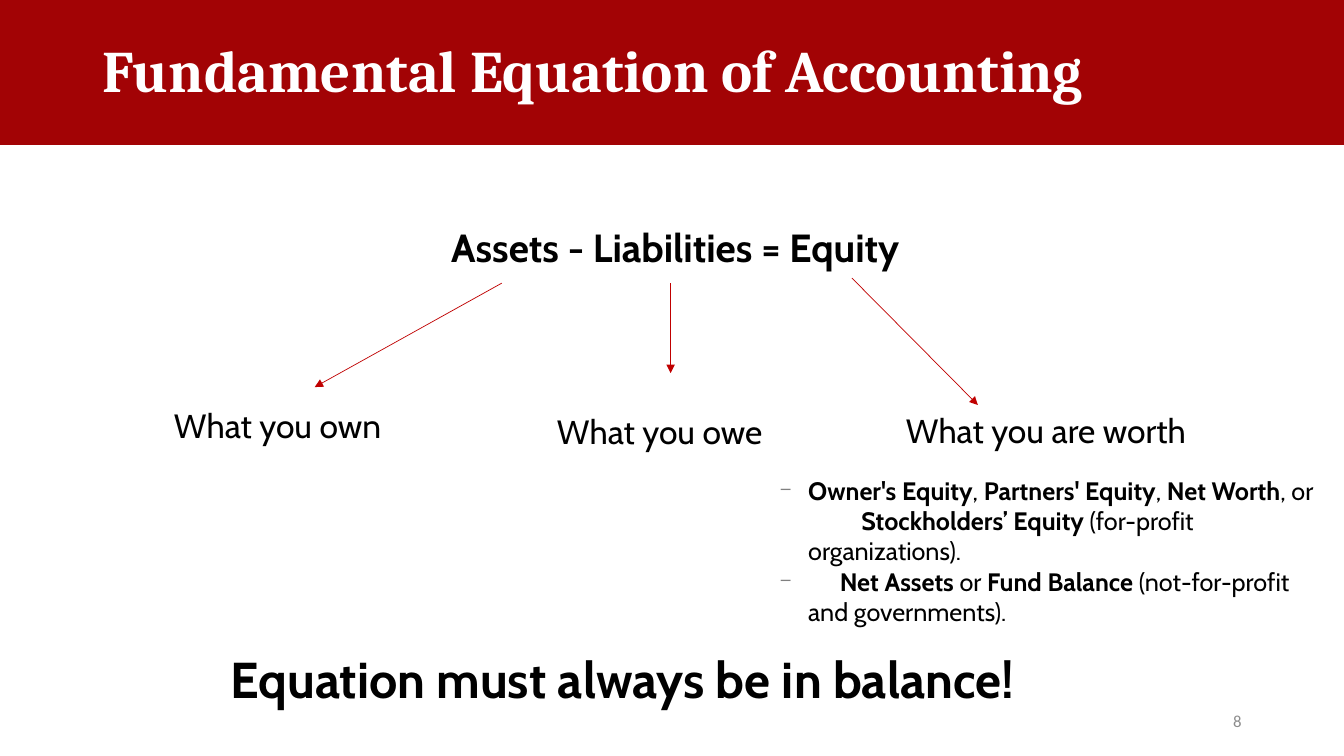
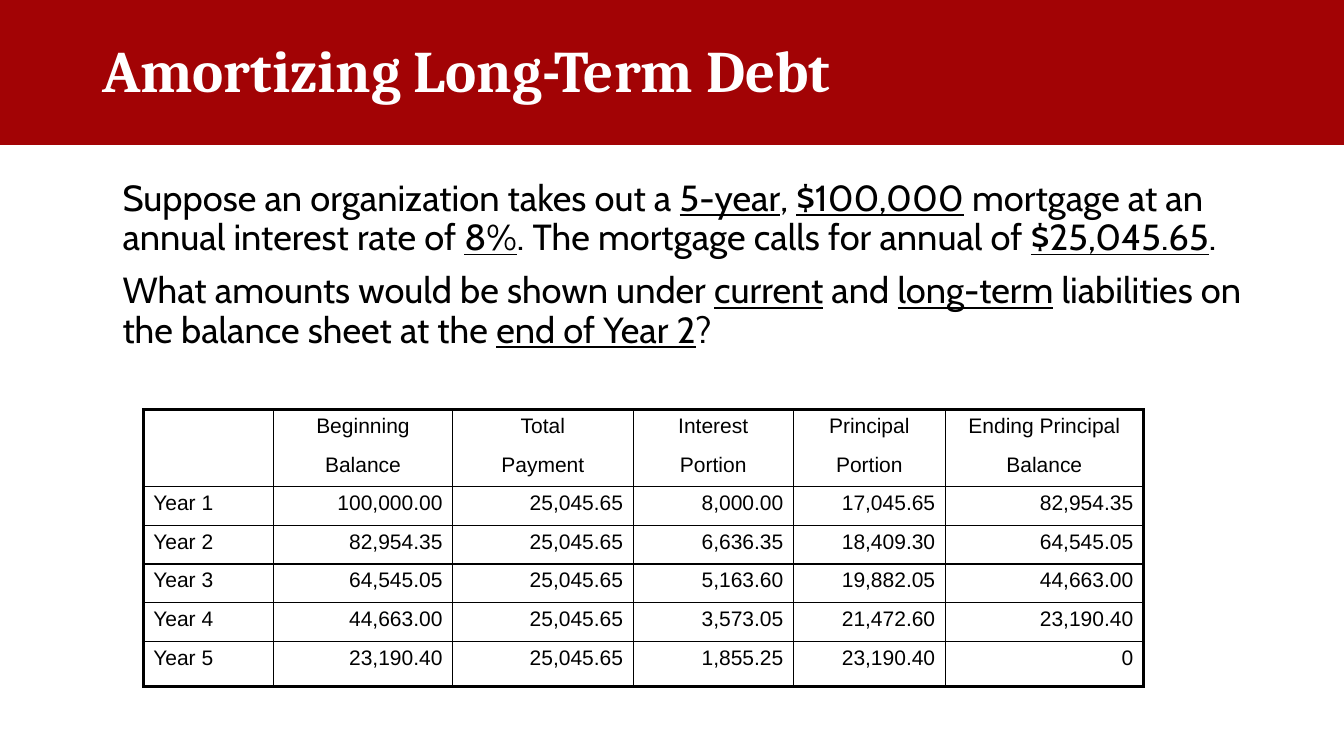
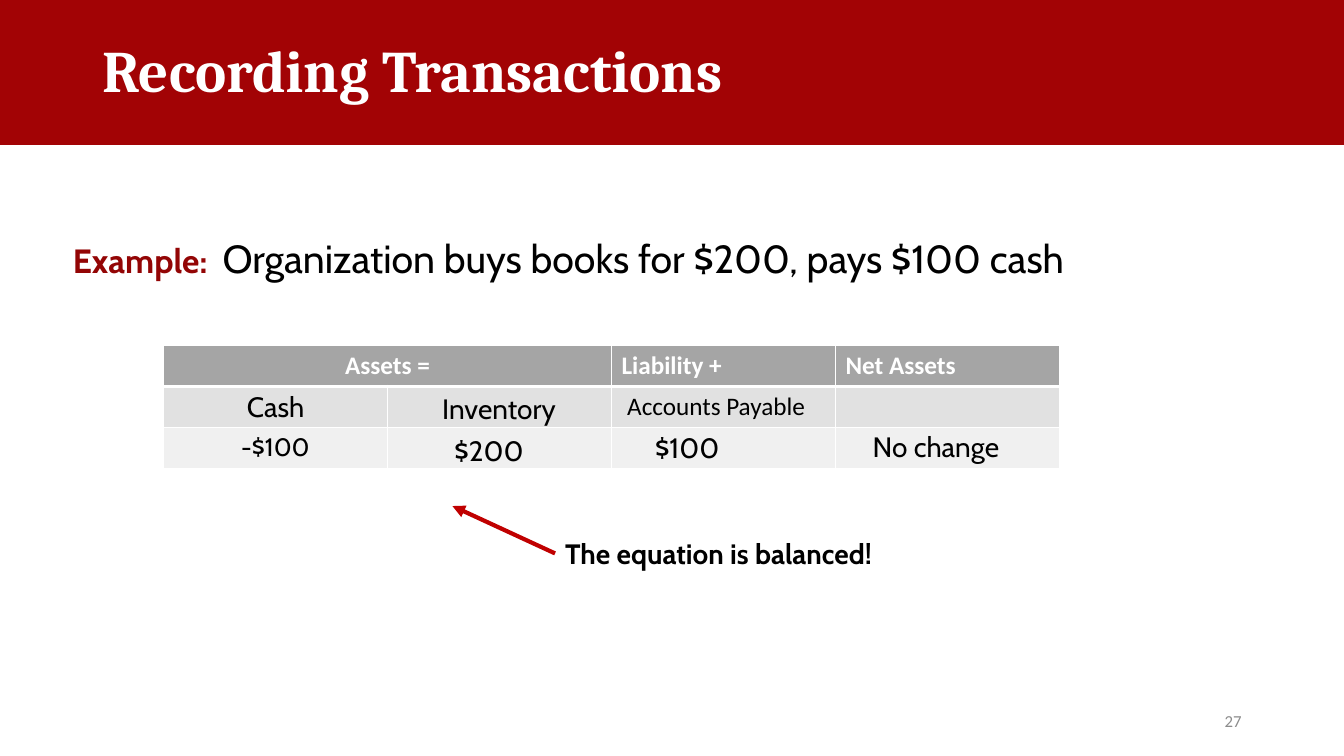
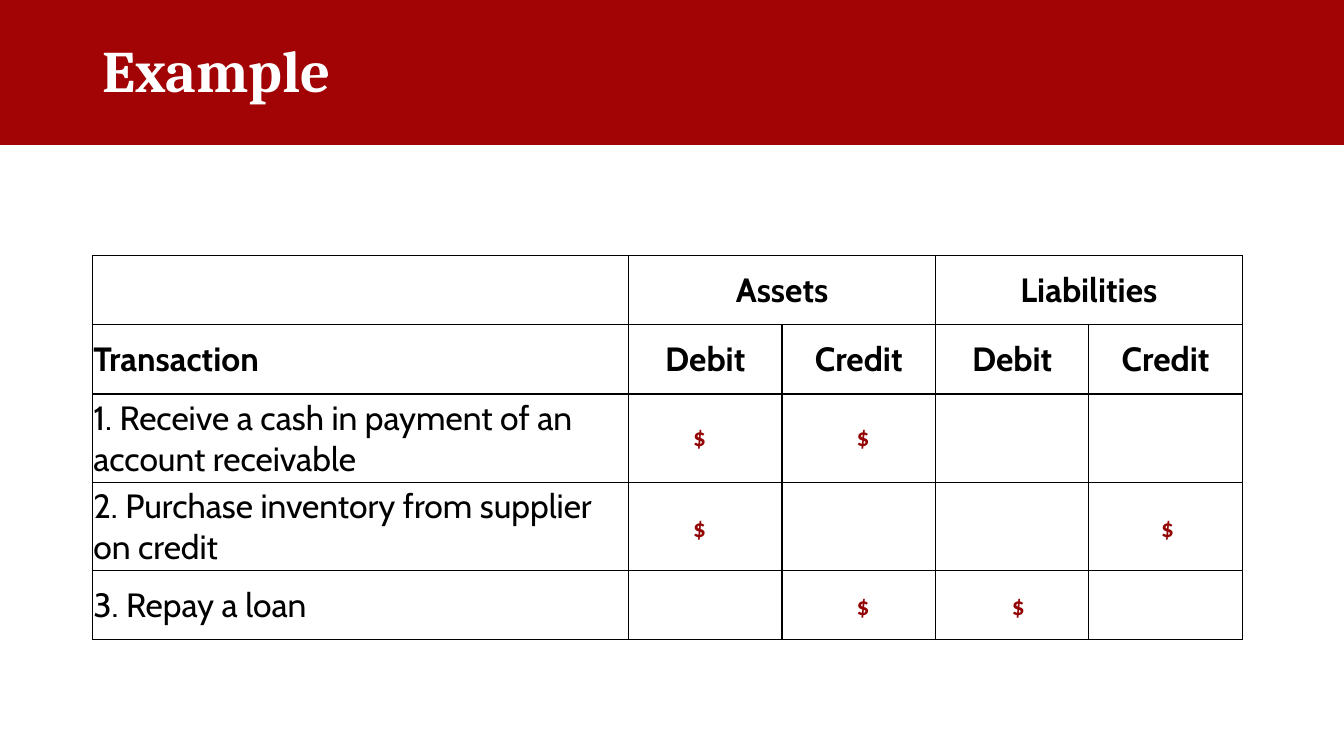
"""Build four accounting slides with a shared title band."""
from lxml import etree
from pptx import Presentation
from pptx.dml.color import RGBColor
from pptx.enum import shapes, text
from pptx.oxml import ns
from pptx.util import Pt

BAND_RED = RGBColor(0xA2, 0x03, 0x05)
DARK_RED = RGBColor(0x93, 0x05, 0x05)
ARROW_RED = RGBColor(0xC0, 0x00, 0x00)
BLACK = RGBColor(0, 0, 0)
WHITE = RGBColor(0xFF, 0xFF, 0xFF)
PAGE_GRAY = RGBColor(0x8C, 0x8C, 0x8C)
HEAD_GRAY = RGBColor(0xA5, 0xA5, 0xA5)
ROW_GRAYS = (HEAD_GRAY, RGBColor(0xE1, 0xE1, 0xE1), RGBColor(0xF0, 0xF0, 0xF0))
LEFT, CENTER, RIGHT = text.PP_ALIGN.LEFT, text.PP_ALIGN.CENTER, text.PP_ALIGN.RIGHT
MIDDLE, TOP = text.MSO_ANCHOR.MIDDLE, text.MSO_ANCHOR.TOP
PAGE_WIDTH, PAGE_HEIGHT = 960, 540
BOLD, UNDERLINE = {"bold": True}, {"underline": True}

MEANINGS = [
    ("What you own", (38.2, 289.2, 320, 36), CENTER),
    ("What you owe", (370.8, 293, 200.8, 65), CENTER),
    ("What you are worth", (640, 292.5, 280, 65), LEFT),
]
MEANING_ARROWS = [
    ((358.5, 202.2), (224.8, 276.5)),
    ((479, 202.2), (479, 266.5)),
    ((608.5, 198.6), (698.5, 289.3)),
]
EQUITY_NAMES = [
    (-19.5, True, [("Owner's Equity", BOLD), ", ", ("Partners' Equity", BOLD), ", ",
                   ("Net Worth", BOLD), ", or"]),
    (38, False, [("Stockholders’ Equity ", BOLD), "(for-profit organizations)."]),
    (-19.5, True, [(" ", {"gap": 18.5}), ("Net Assets", BOLD), " or ",
                   ("Fund Balance", BOLD), " (not-for-profit and governments)."]),
]

MORTGAGE = [
    ["Suppose an organization takes out a ", ("5-year", UNDERLINE), ", ",
     ("$100,000", UNDERLINE), " mortgage at an annual interest rate of ",
     ("8%", UNDERLINE), ". The mortgage calls for annual of ",
     ("$25,045.65", UNDERLINE), "."],
    ["What amounts would be shown under ", ("current", UNDERLINE), " and ",
     ("long-term", UNDERLINE), " liabilities on the balance sheet at the ",
     ("end of Year 2", UNDERLINE), "?"],
]
SCHEDULE = [
    ["", "Beginning", "Total", "Interest", "Principal", "Ending Principal"],
    ["", "Balance", "Payment", "Portion", "Portion", "Balance"],
    ["Year 1", "100,000.00", "25,045.65", "8,000.00", "17,045.65", "82,954.35"],
    ["Year 2", "82,954.35", "25,045.65", "6,636.35", "18,409.30", "64,545.05"],
    ["Year 3", "64,545.05", "25,045.65", "5,163.60", "19,882.05", "44,663.00"],
    ["Year 4", "44,663.00", "25,045.65", "3,573.05", "21,472.60", "23,190.40"],
    ["Year 5", "23,190.40", "25,045.65", "1,855.25", "23,190.40", "0"],
]
SCHEDULE_WIDTHS = [93, 128, 129, 114.5, 108.5, 141.5]
SCHEDULE_HEIGHTS = [27.6] * 6 + [32.4]

PURCHASE = [
    ["Assets =", "", "Liability +", "Net Assets"],
    ["", "", " Accounts Payable", ""],
    ["-$100", "", "", ""],
]
PURCHASE_ENTRIES = [
    ("Cash", 169.2, 275), ("Inventory", 308.8, 276), ("$200", 317.5, 306),
    ("$100", 460.8, 304), ("No change", 616.3, 303),
]

POSTINGS = [
    ["", "", "", "", ""],
    ["", "Assets", "", "Liabilities", ""],
    ["Transaction", "Debit", "Credit", "Debit", "Credit"],
    ["1. Receive a cash in payment of an account receivable", "", "", "", ""],
    ["2. Purchase inventory from supplier on credit", "", "", "", ""],
    ["3. Repay a loan", "", "", "", ""],
]
POSTING_HEIGHTS = [49.5] * 3 + [63] * 2 + [49.5]
MARK_LEFTS = {"asset debit": 488, "asset credit": 604.8,
              "liability debit": 715.7, "liability credit": 822.3}
MARKS = [
    (297.3, ("asset debit", "asset credit")),
    (362.7, ("asset debit", "liability credit")),
    (418.2, ("asset credit", "liability debit")),
]


def add_xml(parent, tag, **attributes):
    return etree.SubElement(parent, ns.qn(tag), attributes)


def style_font(font, **values):
    for name, value in values.items():
        if name == "color":
            font.color.rgb = value
        else:
            setattr(font, name, Pt(value) if name == "size" else value)


def write(para, spans, align=LEFT, spacing=None, name="Cabin", size=24,
          color=BLACK, bold=False):
    para.alignment = align
    if spacing:
        para.line_spacing = spacing
    style_font(para.font, name=name, size=size, color=color, bold=bold)
    for span in [spans] if isinstance(spans, str) else spans:
        words, changes = (span, {}) if isinstance(span, str) else span
        if not words:
            continue
        changes = dict(changes)
        gap = changes.pop("gap", None)
        run = para.add_run()
        run.text = words
        style_font(run.font, **changes)
        if gap:
            run.font.size = Pt(changes.get("size", size))
            run.font._element.set("spc", str(round(gap * 100)))


def add_frame(page, place, anchor=TOP):
    frame = page.shapes.add_textbox(*map(Pt, place)).text_frame
    frame.word_wrap = True
    frame.vertical_anchor = anchor
    return frame


def add_text(page, place, spans, anchor=TOP, **style):
    write(add_frame(page, place, anchor).paragraphs[0], spans, **style)


def add_arrow(page, start, end, width):
    arrow = page.shapes.add_connector(
        shapes.MSO_CONNECTOR.STRAIGHT, *map(Pt, start + end))
    arrow.line.color.rgb = ARROW_RED
    arrow.line.width = Pt(width)
    add_xml(arrow.line._get_or_add_ln(), "a:tailEnd", type="triangle")
    add_xml(arrow._element.spPr, "a:effectLst")


def set_borders(cell, color, widths):
    properties = cell._tc.get_or_add_tcPr()
    for side, width in zip("LRTB", widths):
        line = add_xml(properties, "a:ln" + side, w=str(Pt(width)))
        if width:
            add_xml(add_xml(line, "a:solidFill"), "a:srgbClr", val=str(color))
        else:
            add_xml(line, "a:noFill")


def add_grid(page, left, top, widths, heights, rows, style, edges,
             border=BLACK, fills=None, anchor=TOP, margins=None):
    table = page.shapes.add_table(
        len(rows), len(widths), Pt(left), Pt(top), Pt(sum(widths)), Pt(sum(heights))).table
    table.first_row = table.horz_banding = False
    for column, width in zip(table.columns, widths):
        column.width = Pt(width)
    for i, (row, height) in enumerate(zip(rows, heights)):
        table.rows[i].height = Pt(height)
        for j, words in enumerate(row):
            cell = table.cell(i, j)
            cell.vertical_anchor = anchor
            if margins:
                (cell.margin_left, cell.margin_right,
                 cell.margin_top, cell.margin_bottom) = map(Pt, margins)
            set_borders(cell, border, edges(i, j))
            if fills:
                cell.fill.solid()
                cell.fill.fore_color.rgb = fills[i]
            else:
                cell.fill.background()
            write(cell.text_frame.paragraphs[0], words, **style(i, j))
    return table


def add_page(deck, title, number=None):
    page = deck.slides.add_slide(deck.slide_layouts[6])
    band = page.shapes.add_shape(
        shapes.MSO_SHAPE.RECTANGLE, 0, Pt(-1.5), Pt(PAGE_WIDTH), Pt(104.5))
    band.shadow.inherit = False
    band.fill.solid()
    band.fill.fore_color.rgb = band.line.color.rgb = BAND_RED
    band.line.width = Pt(1)
    add_text(page, (66, 0.5, 828, 104.5), title, MIDDLE, spacing=0.9,
             name="Cambria", size=42, color=WHITE, bold=True)
    if number:
        add_text(page, (678, 500.5, 216, 29), number, MIDDLE, align=RIGHT,
                 name="Calibri", size=12, color=PAGE_GRAY)
    return page


def add_dash(para):
    properties = para._p.get_or_add_pPr()
    add_xml(add_xml(properties, "a:buClr"), "a:srgbClr", val="808080")
    add_xml(properties, "a:buSzPct", val="70000")
    add_xml(properties, "a:buChar", char="–")


def build_equation(deck):
    page = add_page(deck, "Fundamental Equation of Accounting", "8")
    add_text(page, (315.2, 162.4, 348, 36), "Assets - Liabilities = Equity",
             spacing=0.8, size=28, bold=True)
    for words, place, align in MEANINGS:
        add_text(page, place, words, align=align, spacing=0.9)
    for start, end in MEANING_ARROWS:
        add_arrow(page, start, end, 0.5)
    add_text(page, (157.5, 459.5, 695.5, 51), "Equation must always be in balance!",
             size=36, bold=True)
    frame = add_frame(page, (478.7, 336, 480, 116.5))
    for i, (indent, dashed, spans) in enumerate(EQUITY_NAMES):
        para = frame.add_paragraph() if i else frame.paragraphs[0]
        properties = para._p.get_or_add_pPr()
        properties.set("marL", str(Pt(91.5)))
        properties.set("indent", str(Pt(indent)))
        if dashed:
            add_dash(para)
        write(para, spans, size=18)


def build_mortgage(deck):
    page = add_page(deck, "Amortizing Long-Term Debt")
    frame = add_frame(page, (62.3, 125.2, 835, 143))
    frame.margin_left = Pt(25.2)
    for i, spans in enumerate(MORTGAGE):
        para = frame.add_paragraph() if i else frame.paragraphs[0]
        para.space_before = Pt(10)
        write(para, spans, spacing=0.9, size=25.9)
    last_row, last_column = len(SCHEDULE) - 1, len(SCHEDULE_WIDTHS) - 1

    def style(row, column):
        align = CENTER if row < 2 else RIGHT if column else LEFT
        return dict(name="Arial", size=15, align=align)

    def edges(row, column):
        return (1 if column else 2.25, 2.25 if column == last_column else 1,
                {0: 2.25, 1: 0}.get(row, 1), {0: 0, last_row: 2.25}.get(row, 1))

    add_grid(page, 102.3, 292.5, SCHEDULE_WIDTHS, SCHEDULE_HEIGHTS, SCHEDULE, style, edges)


def build_purchase(deck):
    page = add_page(deck, "Recording Transactions", "27")
    label = {"size": 24, "color": DARK_RED, "bold": True}
    add_text(page, (45, 170, 870, 40),
             [("Example:", label), (" ", {"size": 24, "gap": 5.5}),
              "Organization buys books for $200, pays $100 cash"],
             spacing=0.8, size=28)
    add_arrow(page, (396.5, 395.3), (323.2, 361.5), 3)
    add_text(page, (396.5, 379.5, 281.5, 31.5), "The equation is balanced!",
             size=20, bold=True)

    def style(row, column):
        return dict(name="Cabin" if row == 2 else "Calibri", size=18, bold=row == 0,
                    color=BLACK if row else WHITE, align=LEFT if column else CENTER)

    def edges(row, column):
        return 1, 1, 3 if row == 1 else 1, 1 if row else 3

    table = add_grid(page, 116.8, 246.8, [160] * 4, [29.2] * 3, PURCHASE, style, edges,
                     border=WHITE, fills=ROW_GRAYS)
    table.cell(0, 0).merge(table.cell(0, 1))
    for words, left, top in PURCHASE_ENTRIES:
        add_text(page, (left, top, 118, 31.5), words, size=20)


def build_postings(deck):
    page = add_page(deck, "Example")

    def style(row, column):
        return dict(bold=row < 3, align=CENTER if column else LEFT)

    def edges(row, column):
        return (1, 1, 1, 1) if row else (0, 0, 0, 1)

    table = add_grid(page, 66, 133, [383] + [109.6] * 4, POSTING_HEIGHTS,
                     POSTINGS, style, edges, anchor=MIDDLE, margins=(0.7, 0.7, 0.7, 0))
    for column in (1, 3):
        table.cell(1, column).merge(table.cell(1, column + 1))
    for top, accounts in MARKS:
        for account in accounts:
            add_text(page, (MARK_LEFTS[account], top, 36, 29), "$", name="Calibri",
                     size=18, color=DARK_RED, bold=True)


def main():
    deck = Presentation()
    deck.slide_width, deck.slide_height = Pt(PAGE_WIDTH), Pt(PAGE_HEIGHT)
    for build in (build_equation, build_mortgage, build_purchase, build_postings):
        build(deck)
    deck.save("out.pptx")


if __name__ == "__main__":
    main()
